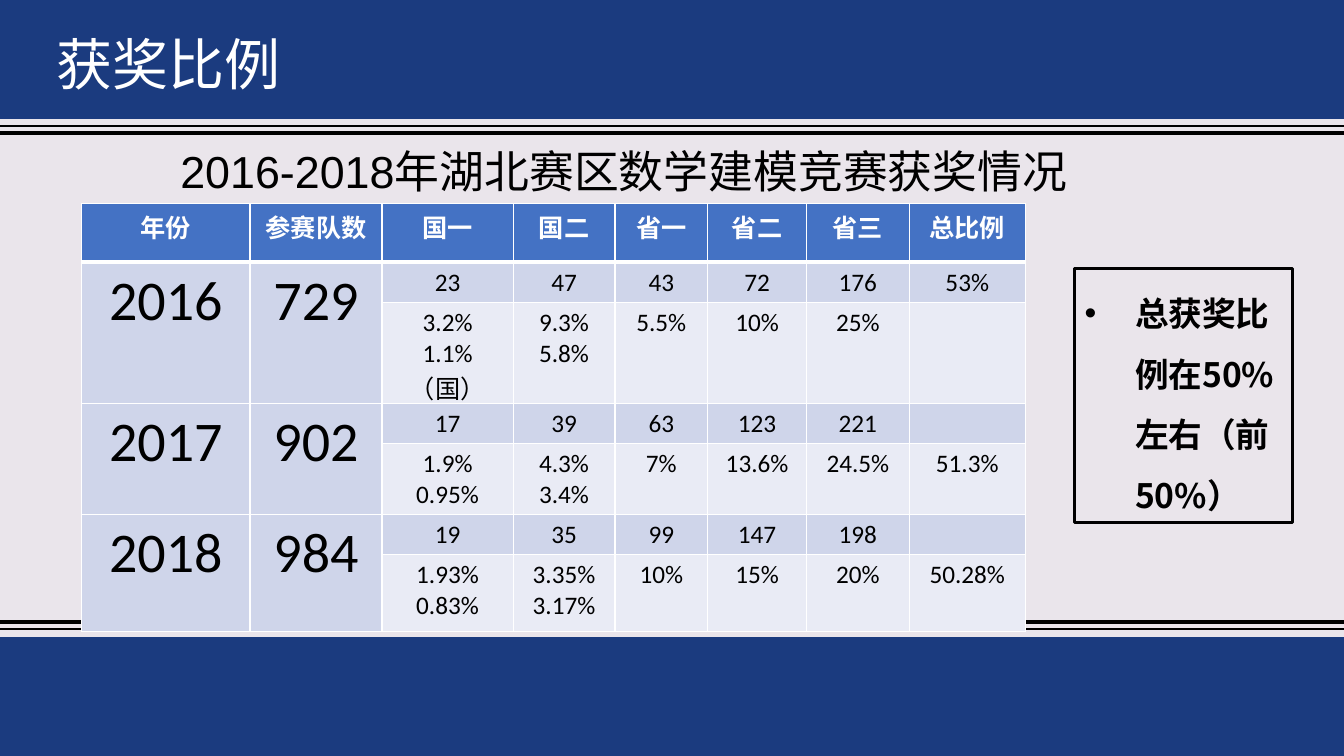
from dataclasses import dataclass

import pptx
import pptx.dml.color
import pptx.enum.shapes
import pptx.enum.text
import pptx.oxml.ns
import pptx.util
from lxml import etree

Inches = pptx.util.Inches
Pt = pptx.util.Pt
RGBColor = pptx.dml.color.RGBColor
qn = pptx.oxml.ns.qn
CENTER = pptx.enum.text.PP_ALIGN.CENTER
RECTANGLE = pptx.enum.shapes.MSO_SHAPE.RECTANGLE

BACKGROUND = RGBColor(0xEA, 0xE5, 0xEB)
NAVY = RGBColor(0x1B, 0x3B, 0x7F)
HEADER_BLUE = RGBColor(0x44, 0x72, 0xC4)
COUNT_BLUE = RGBColor(0xCF, 0xD5, 0xEA)
RATE_BLUE = RGBColor(0xE9, 0xEB, 0xF5)
BLACK = RGBColor(0, 0, 0)
WHITE = RGBColor(0xFF, 0xFF, 0xFF)
CJK_FONT = "Noto Sans CJK SC"
SLIDE_WIDTH = 13.33


@dataclass
class Rule:
    y: float
    weight: float


@dataclass
class TextStyle:
    size: float
    font: str
    color: RGBColor
    bold: bool = False


@dataclass
class Year:
    year: str
    teams: str
    counts: list[str]
    rates: list[str]


RULES = [Rule(6.17, 3), Rule(6.24, 1), Rule(1.32, 3), Rule(1.25, 1)]
BAND_TOPS = [6.32, 0]
COLUMN_WIDTHS = [1.67, 1.31, 1.3, 1.01, 0.92, 0.98, 1.02, 1.15]
ROW_HEIGHTS = [0.58, 0.4, 0.7, 0.4, 0.7, 0.4, 0.76]
HEADINGS = ["年份", "参赛队数", "国一", "国二", "省一", "省二", "省三", "总比例"]
YEARS = [
    Year("2016", "729", ["23", "47", "43", "72", "176", "53%"],
         ["3.2%\n1.1%（国）", "9.3%\n5.8%", "5.5%", "10%", "25%", ""]),
    Year("2017", "902", ["17", "39", "63", "123", "221", ""],
         ["1.9%\n0.95%", "4.3%\n3.4%", "7%", "13.6%", "24.5%", "51.3%"]),
    Year("2018", "984", ["19", "35", "99", "147", "198", ""],
         ["1.93%\n0.83%", "3.35%\n3.17%", "10%", "15%", "20%", "50.28%"]),
]
HEADING_STYLE = TextStyle(18, "Calibri", WHITE, bold=True)
YEAR_STYLE = TextStyle(40, "Calibri", BLACK)
VALUE_STYLE = TextStyle(18, "Calibri", BLACK)


def write(frame: pptx.text.text.TextFrame, text: str, style: TextStyle) -> None:
    frame.text = text
    for paragraph in frame.paragraphs:
        for run in paragraph.runs:
            run.font.size = Pt(style.size)
            run.font.name = style.font
            run.font.bold = style.bold
            run.font.color.rgb = style.color
            east_asian = etree.SubElement(run.font._element, qn("a:ea"))
            east_asian.set("typeface", CJK_FONT)


def add_rule(slide: pptx.slide.Slide, rule: Rule) -> None:
    line = slide.shapes.add_connector(
        pptx.enum.shapes.MSO_CONNECTOR.STRAIGHT,
        Inches(0), Inches(rule.y), Inches(SLIDE_WIDTH), Inches(rule.y))
    line.line.color.rgb = BLACK
    line.line.width = Pt(rule.weight)
    etree.SubElement(line._element.spPr, qn("a:effectLst"))


def add_band(slide: pptx.slide.Slide, top: float) -> None:
    band = slide.shapes.add_shape(
        RECTANGLE, Inches(0), Inches(top), Inches(SLIDE_WIDTH), Inches(1.18))
    band.shadow.inherit = False
    band.fill.solid()
    band.fill.fore_color.rgb = NAVY
    band.line.fill.background()


def add_label(slide: pptx.slide.Slide, box: tuple[float, ...], text: str,
              style: TextStyle, wrap: bool) -> None:
    label = slide.shapes.add_textbox(*map(Inches, box))
    label.text_frame.word_wrap = wrap
    write(label.text_frame, text, style)


def set_borders(cell: pptx.table._Cell, top: float, bottom: float) -> None:
    """Draw white cell edges; top and bottom are weights in points."""
    properties = cell._tc.get_or_add_tcPr()
    weights = {"a:lnL": 1, "a:lnR": 1, "a:lnT": top, "a:lnB": bottom}
    for position, (edge, weight) in enumerate(weights.items()):
        line = etree.Element(qn(edge), w=str(Pt(weight)))
        fill = etree.SubElement(line, qn("a:solidFill"))
        etree.SubElement(fill, qn("a:srgbClr"), val=str(WHITE))
        properties.insert(position, line)


def fill_cell(cell: pptx.table._Cell, text: str, style: TextStyle) -> None:
    write(cell.text_frame, text, style)
    for paragraph in cell.text_frame.paragraphs:
        paragraph.alignment = CENTER


def add_awards_table(slide: pptx.slide.Slide) -> None:
    awards = slide.shapes.add_table(
        len(ROW_HEIGHTS), len(COLUMN_WIDTHS),
        Inches(0.81), Inches(2.02), Inches(9.37), Inches(3.94)).table
    for column, width in zip(awards.columns, COLUMN_WIDTHS):
        column.width = Inches(width)
    for index, (row, height) in enumerate(zip(awards.rows, ROW_HEIGHTS)):
        row.height = Inches(height)
        for column_index, cell in enumerate(row.cells):
            cell.fill.solid()
            if index == 0:
                cell.fill.fore_color.rgb = HEADER_BLUE
            elif index % 2 or column_index < 2:
                cell.fill.fore_color.rgb = COUNT_BLUE
            else:
                cell.fill.fore_color.rgb = RATE_BLUE
            set_borders(cell, top=3 if index == 1 else 1, bottom=3 if index == 0 else 1)

    for column_index, heading in enumerate(HEADINGS):
        fill_cell(awards.cell(0, column_index), heading, HEADING_STYLE)
    for year_index, year in enumerate(YEARS):
        count_row = 1 + 2 * year_index
        for column_index, text in enumerate([year.year, year.teams]):
            cell = awards.cell(count_row, column_index)
            cell.merge(awards.cell(count_row + 1, column_index))
            fill_cell(cell, text, YEAR_STYLE)
        for row_index, values in enumerate([year.counts, year.rates], count_row):
            for column_index, value in enumerate(values, 2):
                fill_cell(awards.cell(row_index, column_index), value, VALUE_STYLE)


def add_conclusion(slide: pptx.slide.Slide) -> None:
    conclusion = slide.shapes.add_shape(
        RECTANGLE, Inches(10.66), Inches(2.66), Inches(2.16), Inches(2.52))
    conclusion.shadow.inherit = False
    conclusion.fill.background()
    conclusion.line.color.rgb = BLACK
    conclusion.line.width = Pt(2.25)
    frame = conclusion.text_frame
    frame.word_wrap = True
    frame.vertical_anchor = pptx.enum.text.MSO_ANCHOR.TOP
    write(frame, "总获奖比例在50%左右（前50%）", TextStyle(24, CJK_FONT, BLACK, bold=True))
    paragraph = frame.paragraphs[0]
    paragraph.alignment = pptx.enum.text.PP_ALIGN.LEFT
    paragraph.line_spacing = 1.5
    properties = paragraph._p.get_or_add_pPr()
    properties.set("marL", str(Inches(0.5)))
    properties.set("indent", str(Inches(-0.5)))
    etree.SubElement(properties, qn("a:buFont"), typeface="Arial")
    etree.SubElement(properties, qn("a:buChar"), char="•")


def main() -> None:
    deck = pptx.Presentation()
    deck.slide_width = Inches(SLIDE_WIDTH)
    deck.slide_height = Inches(7.5)
    slide = deck.slides.add_slide(deck.slide_layouts[6])
    slide.background.fill.solid()
    slide.background.fill.fore_color.rgb = BACKGROUND

    for rule in RULES:
        add_rule(slide, rule)
    for top in BAND_TOPS:
        add_band(slide, top)
    add_label(slide, (1.69, 1.38, 9.76, 0.64), "2016-2018年湖北赛区数学建模竞赛获奖情况",
              TextStyle(32, "Arial", BLACK), wrap=True)
    add_awards_table(slide)
    add_label(slide, (0.46, 0.24, 2.42, 0.77), "获奖比例",
              TextStyle(40, CJK_FONT, WHITE), wrap=False)
    add_conclusion(slide)
    deck.save("out.pptx")


if __name__ == "__main__":
    main()
